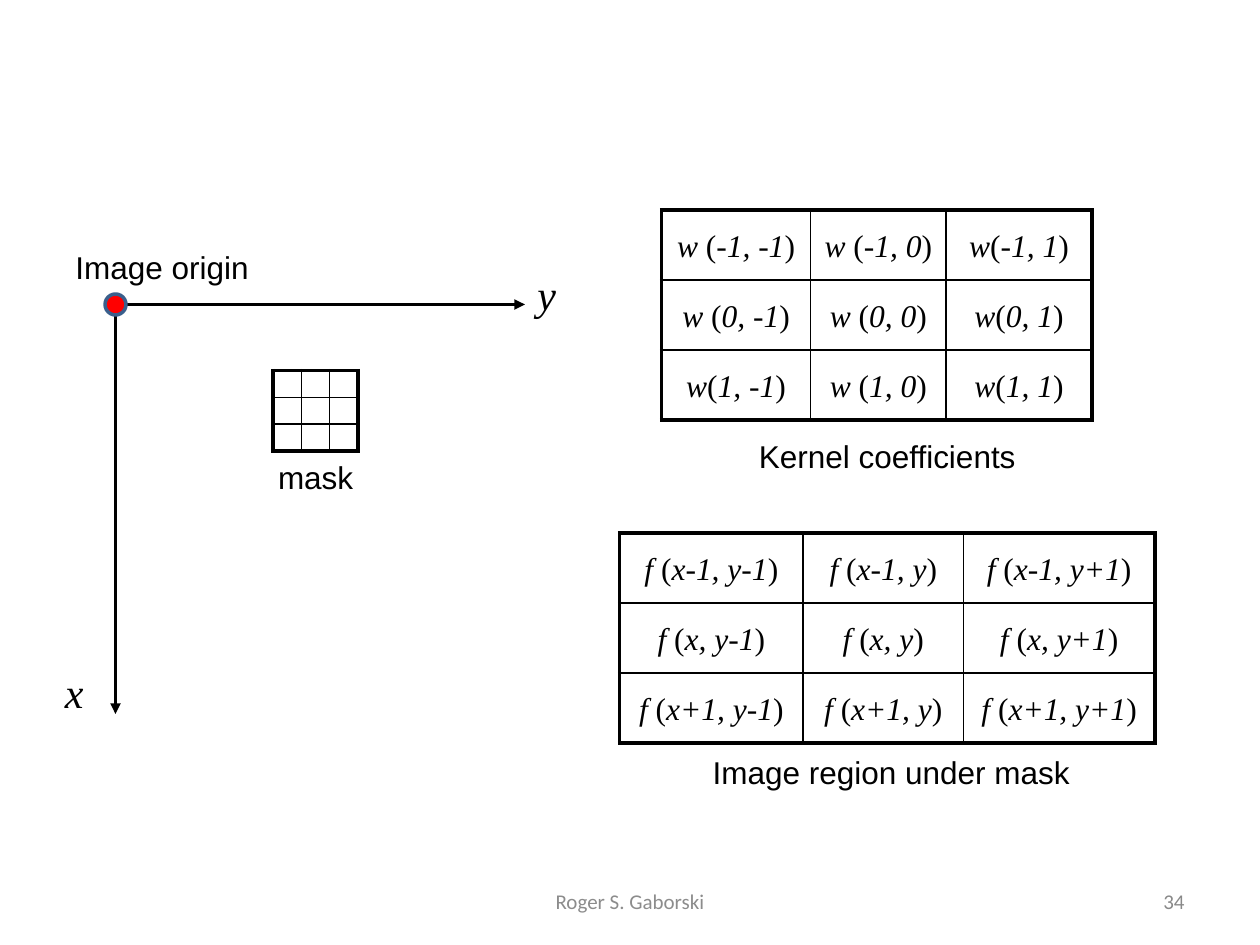
from lxml import etree
from pptx import Presentation
from pptx.dml.color import RGBColor
from pptx.enum import shapes, text
from pptx.oxml import ns
from pptx import util as u

COLORS = {"ink": "000000", "origin": "FF0000", "rim": "3A5F8C",
          "footer": "8C8C8C", "number": "898989"}
SANS, SERIF, FOOT = "Arial", "Times New Roman", "Calibri"
LEFT, CENTER, RIGHT = (text.PP_ALIGN.LEFT, text.PP_ALIGN.CENTER,
                       text.PP_ALIGN.RIGHT)
THICK, THIN = 2.24, 0.99


class Board:
    COLUMNS, ROWS = 120, 90

    def __init__(self, deck):
        self.slide = deck.slides.add_slide(deck.slide_layouts[6])
        self.column = deck.slide_width / self.COLUMNS
        self.row = deck.slide_height / self.ROWS

    def place(self, *lengths):
        units = (self.column, self.row) * 2
        return [u.Emu(round(n * unit)) for n, unit in zip(lengths, units)]

    def color(self, name):
        return RGBColor.from_string(COLORS[name])

    def add_words(self, paragraph, words, font, size, italic=False,
                  color="ink"):
        run = paragraph.add_run()
        run.text = words
        run.font.name, run.font.size = font, u.Pt(size)
        run.font.italic = italic
        run.font.color.rgb = self.color(color)

    def label(self, at, words, font=SANS, size=18, italic=False, color="ink",
              align=LEFT, anchor=text.MSO_ANCHOR.TOP, wrap=True):
        frame = self.slide.shapes.add_textbox(*self.place(*at)).text_frame
        frame.word_wrap = wrap
        frame.vertical_anchor = anchor
        paragraph = frame.paragraphs[0]
        paragraph.alignment = align
        self.add_words(paragraph, words, font, size, italic, color)

    def arrow(self, start, end):
        axis = self.slide.shapes.add_connector(
            shapes.MSO_CONNECTOR.STRAIGHT, *self.place(*start, *end))
        axis.line.color.rgb = self.color("ink")
        axis.line.width = u.Pt(2)
        outline = axis._element.spPr.find(ns.qn("a:ln"))
        etree.SubElement(outline, ns.qn("a:tailEnd"), type="triangle")
        etree.SubElement(axis._element.spPr, ns.qn("a:effectLst"))

    def dot(self, at):
        spot = self.slide.shapes.add_shape(shapes.MSO_SHAPE.OVAL,
                                           *self.place(*at))
        spot.shadow.inherit = False
        spot.fill.solid()
        spot.fill.fore_color.rgb = self.color("origin")
        spot.line.color.rgb = self.color("rim")
        spot.line.width = u.Pt(2)

    def border(self, cell, sides):
        properties = cell._tc.get_or_add_tcPr()
        for place, (side, width) in enumerate(sides.items()):
            line = etree.Element(ns.qn(f"a:ln{side}"), w=str(int(u.Pt(width))))
            fill = etree.SubElement(line, ns.qn("a:solidFill"))
            etree.SubElement(fill, ns.qn("a:srgbClr"), val=COLORS["ink"])
            properties.insert(place, line)

    def formula(self, cell, words):
        cell.margin_top, cell.margin_bottom = u.Inches(0.08), u.Inches(0.05)
        paragraph = cell.text_frame.paragraphs[0]
        paragraph.alignment = CENTER
        paragraph.space_before = u.Pt(7)
        name, arguments = words.rstrip(")").split("(")
        for part, italic in ((name, True), ("(", False),
                             (arguments, True), (")", False)):
            self.add_words(paragraph, part, SERIF, 18, italic)

    def blank(self, cell):
        cell.margin_left = cell.margin_right = 0
        cell.margin_top = cell.margin_bottom = 0
        paragraph = cell.text_frame.paragraphs[0]._p
        etree.SubElement(paragraph, ns.qn("a:endParaRPr"), sz="600")

    def matrix(self, corner, widths, height, entries):
        last_row, last_column = len(entries) - 1, len(widths) - 1
        size = (sum(widths), height * len(entries))
        table = self.slide.shapes.add_table(
            len(entries), len(widths), *self.place(*corner, *size)).table
        table.first_row = table.horz_banding = False
        for column, width in zip(table.columns, widths):
            column.width = self.place(width)[0]
        for r, line in enumerate(entries):
            table.rows[r].height = self.place(0, height)[1]
            for c, words in enumerate(line):
                cell = table.cell(r, c)
                cell.vertical_anchor = text.MSO_ANCHOR.MIDDLE
                cell.fill.background()
                edges = {"L": c == 0, "R": c == last_column,
                         "T": r == 0, "B": r == last_row}
                self.border(cell, {side: THICK if outer else THIN
                                   for side, outer in edges.items()})
                if words:
                    self.formula(cell, words)
                else:
                    self.blank(cell)


deck = Presentation()
deck.slide_width, deck.slide_height = u.Inches(10), u.Inches(7.5)
board = Board(deck)

footer = {"font": FOOT, "size": 12, "anchor": text.MSO_ANCHOR.MIDDLE}
board.label((41, 83.4, 38, 4.8), "Roger S. Gaborski", color="footer",
            align=CENTER, **footer)
board.label((86, 83.4, 28, 4.8), "34", color="number", align=RIGHT, **footer)

region = [[f"f ({x}, {y})" for y in ("y-1", "y", "y+1")]
          for x in ("x-1", "x", "x+1")]
kernel = [["w (-1, -1)", "w (-1, 0)", "w(-1, 1)"],
          ["w (0, -1)", "w (0, 0)", "w(0, 1)"],
          ["w(1, -1)", "w (1, 0)", "w(1, 1)"]]
board.matrix((59, 50.75), (17.5, 15.25, 18.25), 6.67, region)
board.matrix((63, 20), (14.2, 12.9, 13.9), 6.67, kernel)

origin = (11, 29)
board.arrow(origin, (50, 29))
board.arrow(origin, (11, 68))
board.matrix((26, 35.3), (2.7, 2.7, 2.7), 2.55, [[""] * 3] * 3)
board.label((6, 23, 19, 4.8), "Image origin")
board.dot((10, 28, 2, 2))

for axis, corner in {"x": (5, 62.9), "y": (50, 25)}.items():
    board.label((*corner, 4, 6.1), axis, SERIF, 24, italic=True)
board.label((70, 41, 29, 4.8), "Kernel coefficients", align=CENTER)
board.label((66.7, 71.1, 42, 4.8), "Image region under mask")
board.label((25.3, 43, 9.7, 4.8), "mask", wrap=False)

deck.save("out.pptx")
